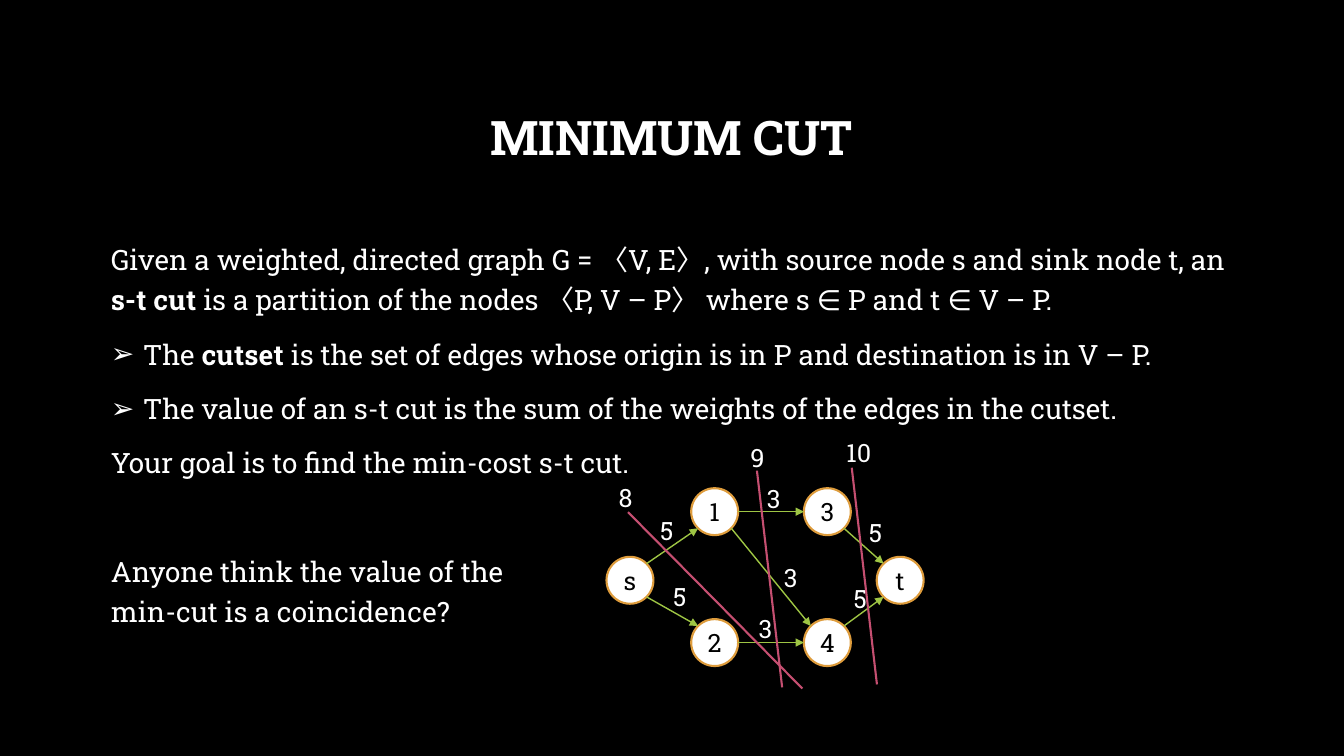
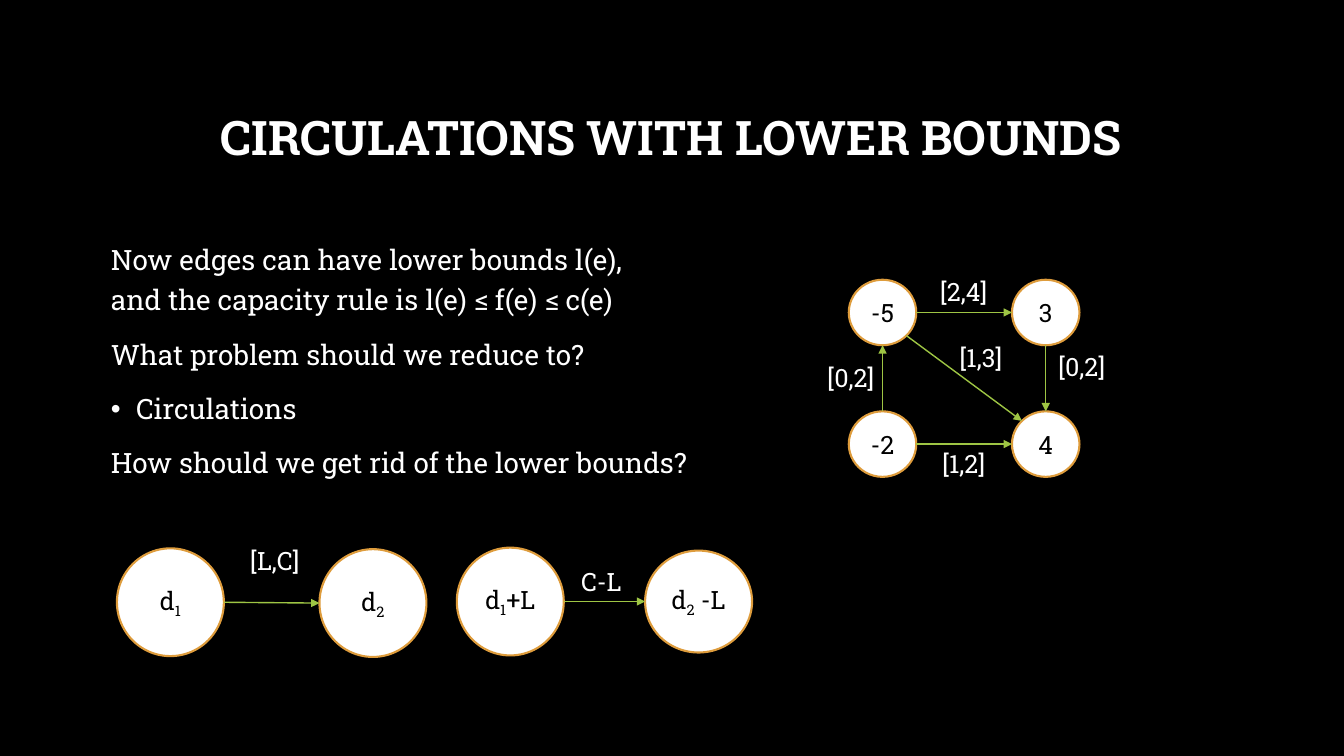
"""Build two slides on minimum cuts and circulations with lower bounds."""
import pptx
import pptx.dml.color
import pptx.enum.shapes
import pptx.enum.text
import pptx.oxml
import pptx.oxml.ns
import pptx.util

Pt = pptx.util.Pt
qn = pptx.oxml.ns.qn
RGBColor = pptx.dml.color.RGBColor
CENTER = pptx.enum.text.PP_ALIGN.CENTER
MIDDLE = pptx.enum.text.MSO_ANCHOR.MIDDLE
STRAIGHT = pptx.enum.shapes.MSO_CONNECTOR.STRAIGHT
OVAL = pptx.enum.shapes.MSO_SHAPE.OVAL

BLACK = RGBColor(0x00, 0x00, 0x00)
WHITE = RGBColor(0xFF, 0xFF, 0xFF)
ORANGE = RGBColor(0xDE, 0x9C, 0x3C)
GREEN = RGBColor(0x9E, 0xC5, 0x44)
PINK = RGBColor(0xC5, 0x4F, 0x71)
FONT = "Roboto Slab"
DIAGONAL = 0.707
SITES = {
    "N": (0, -1), "E": (1, 0), "S": (0, 1), "W": (-1, 0),
    "NE": (DIAGONAL, -DIAGONAL), "SE": (DIAGONAL, DIAGONAL),
    "SW": (-DIAGONAL, DIAGONAL), "NW": (-DIAGONAL, -DIAGONAL),
}
LABEL_W, LABEL_H = 60, 28.8

SLIDES = [
    {
        "title": "MINIMUM CUT",
        "body": [
            ("", 10, "Given a weighted, directed graph G = 〈V, E〉, with source node s and sink node t, an "
                     "*s-t cut* is a partition of the nodes 〈P, V – P〉 where s ∈ P and t ∈ V – P."),
            ("➢", 10, " The *cutset* is the set of edges whose origin is in P and destination is in V – P."),
            ("➢", 10, " The value of an s-t cut is the sum of the weights of the edges in the cutset."),
            ("", 10, "Your goal is to find the min-cost s-t cut."),
            ("", 48.6, "Anyone think the value of the\nmin-cut is a coincidence?"),
        ],
        "nodes": {
            "s": (450, 414.5, 33.5, 33.5),
            "1": (510.5, 365.5, 33.5, 33.5),
            "2": (510.5, 459, 33.5, 33.5),
            "3": (591, 365.5, 33.5, 33.5),
            "4": (591, 459, 33.5, 33.5),
            "t": (643, 414.5, 33.5, 33.5),
        },
        "edges": [
            ("s", "NE", "1", "SW"), ("s", "SE", "2", "NW"), ("2", "E", "4", "W"),
            ("4", "NE", "t", "SW"), ("1", "E", "3", "W"), ("3", "SE", "t", "NW"),
            ("1", "SE", "4", "NW"),
        ],
        "labels": [
            ("5", 476.3, 378.7), ("5", 614.5, 427.7), ("5", 485.6, 426.2),
            ("5", 625.3, 380.2), ("3", 552.6, 356.4), ("3", 564.8, 412.6),
            ("3", 546.8, 449.3), ("9", 541, 326.9), ("10", 613.4, 323.3),
            ("8", 446.8, 355.7),
        ],
        "cuts": [
            (540.7, 336.2, 558.7, 491), (608.4, 334.1, 626.4, 488.9),
            (448.6, 365.8, 573.1, 491.8),
        ],
    },
    {
        "title": "CIRCULATIONS WITH LOWER BOUNDS",
        "body": [
            ("", 10, "Now edges can have lower bounds l(e),\nand the capacity rule is l(e) ≤ f(e) ≤ c(e)"),
            ("", 10, "What problem should we reduce to?"),
            ("•", 10, "Circulations"),
            ("", 10, "How should we get rid of the lower bounds?"),
        ],
        "nodes": {
            "-5": (630.4, 223.2, 48.2, 46.8),
            "3": (747, 223.2, 48.2, 46.8),
            "-2": (630.4, 317.2, 48.2, 46.8),
            "4": (747, 317.2, 48.2, 46.8),
            "d*1*": (121.7, 430.2, 76.4, 77),
            "d*2*": (266.4, 430.8, 76.4, 77),
            "d*1*+L": (364.5, 429.7, 76.4, 77),
            "d*2* -L": (499, 429.7, 76.4, 72.8),
        },
        "edges": [
            ("-2", "N", "-5", "S"), ("-2", "E", "4", "W"), ("-5", "SE", "4", "NW"),
            ("-5", "E", "3", "W"), ("3", "S", "4", "N"), ("d*1*", "E", "d*2*", "W"),
            ("d*1*+L", "E", "d*2* -L", "W"),
        ],
        "labels": [
            ("[0,2]", 607.7, 270), ("[2,4]", 688.3, 208.1), ("[1,3]", 700.6, 255.6),
            ("[1,2]", 688.3, 331.2), ("[0,2]", 772.6, 262.1), ("[L,C]", 196.2, 400.3),
            ("C-L", 429.5, 415.4),
        ],
        "cuts": [],
    },
]


def write(p, text, color=WHITE, size=20):
    """Fill a paragraph and return the runs that stood between asterisks."""
    marked = []
    for i, part in enumerate(text.split("*")):
        for j, row in enumerate(part.split("\n")):
            if j:
                p.add_line_break()
            r = p.add_run()
            r.text = row
            r.font.name, r.font.size = FONT, Pt(size)
            r.font.color.rgb = color
            if i % 2:
                marked.append(r)
    return marked


def draw_line(s, ends, color, width, arrow=False):
    """Draw a straight line, with an arrowhead at its end if asked."""
    c = s.shapes.add_connector(STRAIGHT, *[Pt(v) for v in ends])
    c.line.color.rgb = color
    c.line.width = Pt(width)
    if arrow:
        ln = c.line._get_or_add_ln()
        ln.append(pptx.oxml.parse_xml(f'<a:tailEnd {pptx.oxml.ns.nsdecls("a")} type="triangle"/>'))
    c._element.spPr.append(pptx.oxml.parse_xml(f'<a:effectLst {pptx.oxml.ns.nsdecls("a")}/>'))


prs = pptx.Presentation()
prs.slide_width, prs.slide_height = Pt(960), Pt(540)
master = prs.slide_master
master.background.fill.solid()
master.background.fill.fore_color.rgb = BLACK
for style, size in (("p:titleStyle", "3400"), ("p:bodyStyle", "2000")):
    level = master.element.find(".//" + qn(style)).find(qn("a:lvl1pPr"))
    level.find(qn("a:defRPr")).set("sz", size)

layout = prs.slide_layouts[1]
for ph, top, height in ((layout.placeholders[0], 48.2, 104.4), (layout.placeholders[1], 164.9, 290.9)):
    ph.left, ph.top, ph.width, ph.height = Pt(72), Pt(top), Pt(815), Pt(height)

for page in SLIDES:
    s = prs.slides.add_slide(layout)

    tf = s.shapes.title.text_frame
    tf.vertical_anchor = MIDDLE
    p = tf.paragraphs[0]
    p.alignment, p.line_spacing = CENTER, 0.9
    write(p, page["title"], size=34)
    p.runs[0].font.bold = True

    tf = s.placeholders[1].text_frame
    tf.auto_size = pptx.enum.text.MSO_AUTO_SIZE.NONE
    for i, (bullet, before, text) in enumerate(page["body"]):
        p = tf.add_paragraph() if i else tf.paragraphs[0]
        p.line_spacing, p.space_before = 1.2, Pt(before)
        indent = Pt(18) if bullet else 0
        pPr = p._p.get_or_add_pPr()
        pPr.set("marL", str(indent))
        pPr.set("indent", str(-indent))
        mark = pptx.oxml.ns.nsdecls("a")
        xml = f'<a:buChar {mark} char="{bullet}"/>' if bullet else f"<a:buNone {mark}/>"
        pPr.append(pptx.oxml.parse_xml(xml))
        for r in write(p, text):
            r.font.bold = True

    for text, (x, y, w, h) in page["nodes"].items():
        sp = s.shapes.add_shape(OVAL, Pt(x - w / 2), Pt(y - h / 2), Pt(w), Pt(h))
        sp.shadow.inherit = False
        sp.fill.solid()
        sp.fill.fore_color.rgb = WHITE
        sp.line.color.rgb = ORANGE
        sp.line.width = Pt(1.5)
        tf = sp.text_frame
        tf.word_wrap = False
        tf.vertical_anchor = MIDDLE
        p = tf.paragraphs[0]
        p.alignment = CENTER
        for r in write(p, text, BLACK, 18):
            r._r.get_or_add_rPr().set("baseline", "-25000")

    for start, start_site, end, end_site in page["edges"]:
        ends = []
        for node, site in ((start, start_site), (end, end_site)):
            x, y, w, h = page["nodes"][node]
            dx, dy = SITES[site]
            ends += [x + dx * w / 2, y + dy * h / 2]
        draw_line(s, ends, GREEN, 1, arrow=True)

    for text, x, y in page["labels"]:
        tb = s.shapes.add_textbox(Pt(x - LABEL_W / 2), Pt(y - LABEL_H / 2), Pt(LABEL_W), Pt(LABEL_H))
        tb.text_frame.word_wrap = False
        p = tb.text_frame.paragraphs[0]
        p.alignment = CENTER
        write(p, text, size=18)

    for ends in page["cuts"]:
        draw_line(s, ends, PINK, 1.5)

prs.save("out.pptx")
